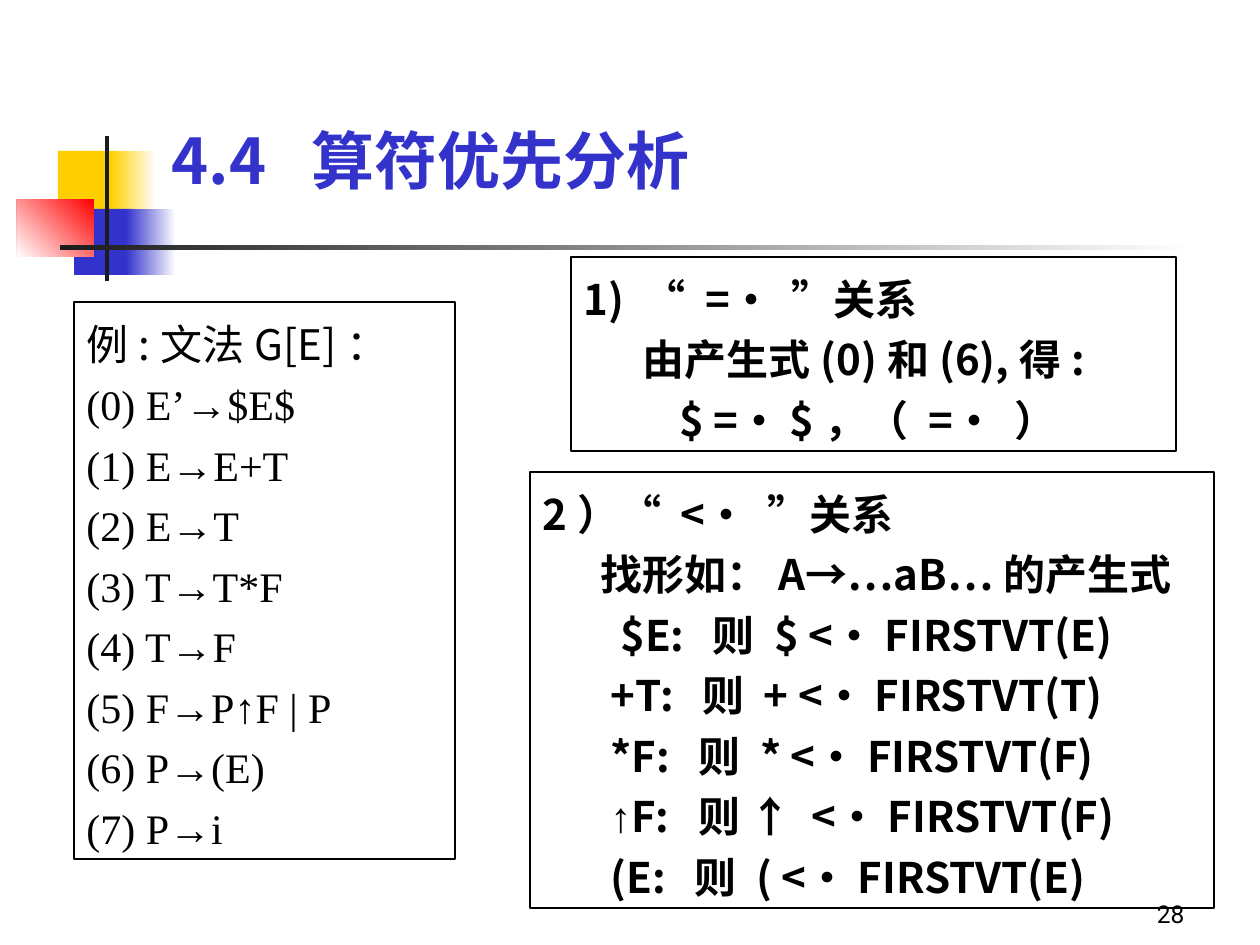
from lxml import etree
from pptx import Presentation
from pptx import util as u
from pptx.dml.color import RGBColor
from pptx.enum import shapes, text
from pptx.oxml.ns import qn

WHITE = RGBColor(0xFF, 0xFF, 0xFF)
BLACK = RGBColor(0, 0, 0)
YELLOW = RGBColor(0xFF, 0xCF, 0x01)
BLUE = RGBColor(0x33, 0x33, 0xCC)
RED = RGBColor(0xFF, 0, 0)
CHARCOAL = RGBColor(0x1C, 0x1C, 0x1C)
HAN, SERIF, SANS, NUMBER = "Noto Sans CJK SC", "Times New Roman", "Arial", "Roboto"


def px(value):
    return u.Emu(round(value * 914400 / 126))


class Page:
    line_height = u.Pt(34.56)

    def __init__(self, deck):
        self.slide = deck.slides.add_slide(deck.slide_layouts[5])

    def block(self, area, color, fade_to=None, angle=180):
        box = self.slide.shapes.add_shape(shapes.MSO_SHAPE.RECTANGLE, *map(px, area))
        box.shadow.inherit = False
        box.line.fill.background()
        if fade_to is None:
            box.fill.solid()
            box.fill.fore_color.rgb = color
            return
        box.fill.gradient()
        box.fill.gradient_angle = angle
        for stop, shade in zip(box.fill.gradient_stops, (color, fade_to)):
            stop.color.rgb = shade

    def frame(self, box, anchor):
        frame = box.text_frame
        frame.word_wrap = True
        frame.vertical_anchor = anchor
        frame.margin_left = frame.margin_right = u.Inches(0.1)
        frame.margin_top = frame.margin_bottom = u.Inches(0.05)
        return frame

    def set_font(self, font, name):
        font.name = name
        east_asian = etree.SubElement(font._element, qn("a:ea"))
        east_asian.set("typeface", HAN)

    def fill_para(self, para, spans, name, size, color=BLACK, bold=False, stops=(),
                  align=text.PP_ALIGN.LEFT):
        para.alignment = align
        para.space_before = u.Pt(0)
        if stops:
            tabs = etree.SubElement(para._p.get_or_add_pPr(), qn("a:tabLst"))
            for stop in stops:
                etree.SubElement(tabs, qn("a:tab"), pos=str(px(stop)), algn="l")
        para.font.size = u.Pt(size)
        para.font.bold = bold
        para.font.color.rgb = color
        if isinstance(spans, str):
            para.add_run().text = spans
            self.set_font(para.font, name)
            return
        for words, face in spans:
            span = para.add_run()
            span.text = words
            self.set_font(span.font, face)

    def title(self, area, words, stops):
        box = self.slide.shapes.title
        box.left, box.top, box.width, box.height = map(px, area)
        frame = self.frame(box, text.MSO_ANCHOR.BOTTOM)
        frame.auto_size = text.MSO_AUTO_SIZE.NONE
        self.fill_para(frame.paragraphs[0], words, HAN, 36, BLUE, True, stops)

    def panel(self, area, lines, bold=False):
        box = self.slide.shapes.add_shape(shapes.MSO_SHAPE.RECTANGLE, *map(px, area))
        box.shadow.inherit = False
        box.fill.background()
        box.line.color.rgb = BLACK
        box.line.width = u.Pt(0.75)
        frame = self.frame(box, text.MSO_ANCHOR.TOP)
        frame.auto_size = text.MSO_AUTO_SIZE.SHAPE_TO_FIT_TEXT
        for index, (spans, name, stops) in enumerate(lines):
            para = frame.add_paragraph() if index else frame.paragraphs[0]
            para.line_spacing = self.line_height
            self.fill_para(para, spans, name, 24, bold=bold, stops=stops)

    def page_number(self, area, words):
        box = self.slide.shapes.add_textbox(*map(px, area))
        frame = self.frame(box, text.MSO_ANCHOR.BOTTOM)
        self.fill_para(frame.paragraphs[0], words, NUMBER, 14, align=text.PP_ALIGN.RIGHT)


def main():
    deck = Presentation()
    deck.slide_width, deck.slide_height = px(1260), px(945)
    page = Page(deck)

    page.block((58, 151, 60, 66), YELLOW)
    page.block((111, 151, 45, 66), WHITE, YELLOW)
    page.block((74, 209, 58, 66), BLUE)
    page.block((126, 209, 50, 66), WHITE, BLUE)
    page.block((17, 199, 77, 58), RED, WHITE, 225)
    page.block((105, 136, 4, 145), CHARCOAL)
    page.block((60, 245, 1134, 5), WHITE, CHARCOAL)
    page.title((159, 45, 1074, 158), "4.4\t算符优先分析", (140,))

    rules = [
        "(0) E’→$E$",
        "(1) E→E+T",
        "(2) E→T",
        "(3) T→T*F",
        "(4) T→F",
        [("(5) F→P", SERIF), ("↑", SANS), ("F | P", SERIF)],
        "(6) P→(E)",
        "(7) P→i",
    ]
    grammar = [("例:文法G[E]：", HAN, ())] + [(rule, SERIF, ()) for rule in rules]
    page.panel((74, 302, 381, 557), grammar)

    page.panel((571, 257, 605, 194), [
        ("1) “ =· ”关系", HAN, ()),
        ("\t由产生式(0)和(6),得:", HAN, (59,)),
        ("\t$ =· $，（ =· ）", HAN, (96,)),
    ], bold=True)

    up_row = [("\t", HAN), ("↑", SANS), ("F:\t则 ", HAN), ("↑ ", SANS),
              ("<· FIRSTVT(F)", HAN)]
    page.panel((530, 472, 684, 436), [
        ("2）“ <· ”关系", HAN, ()),
        ("\t找形如：A→…aB…的产生式", HAN, (58,)),
        ("\t$E:\t则 $ <· FIRSTVT(E)", HAN, (78, 170)),
        ("\t+T:\t则 + <· FIRSTVT(T)", HAN, (68, 160)),
        ("\t*F:\t则 * <· FIRSTVT(F)", HAN, (68, 156)),
        (up_row, HAN, (68, 156)),
        ("\t(E:\t则 ( <· FIRSTVT(E)", HAN, (68, 152)),
    ], bold=True)

    page.page_number((935, 872, 262, 63), "28")
    deck.save("out.pptx")


if __name__ == "__main__":
    main()
